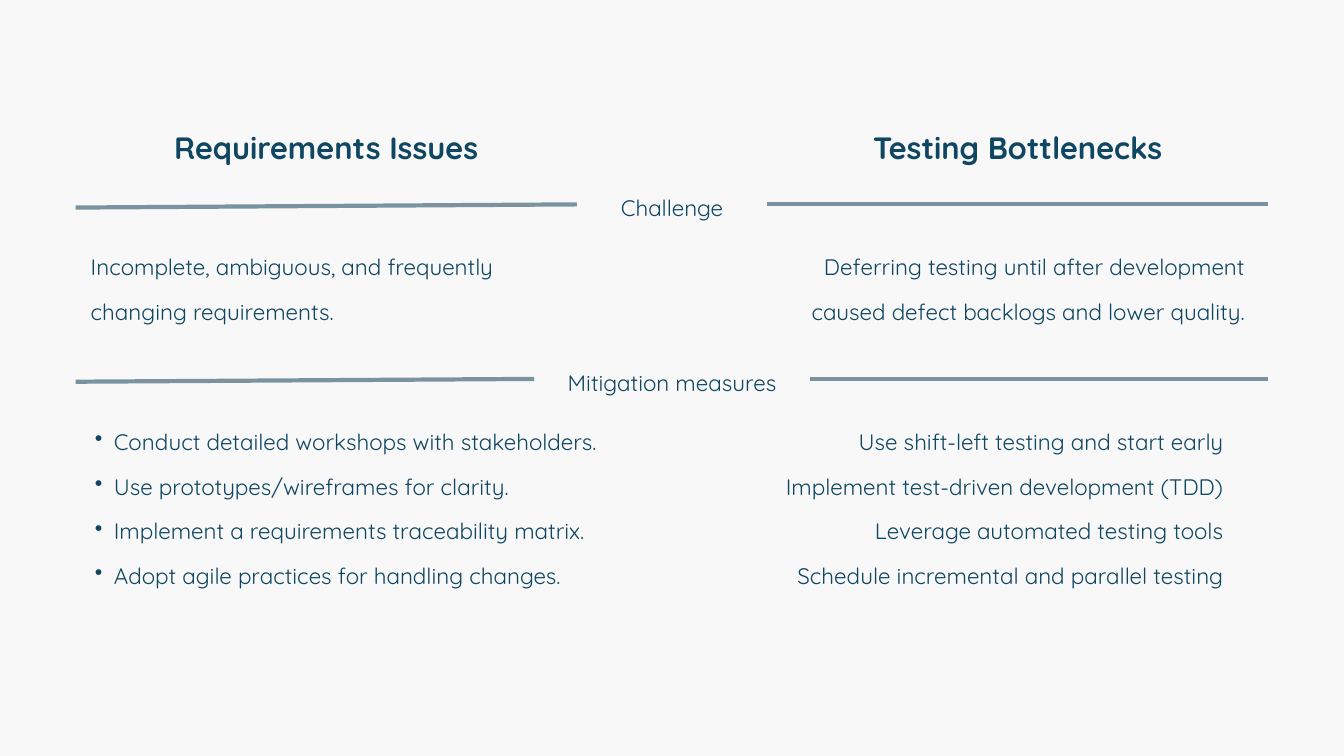
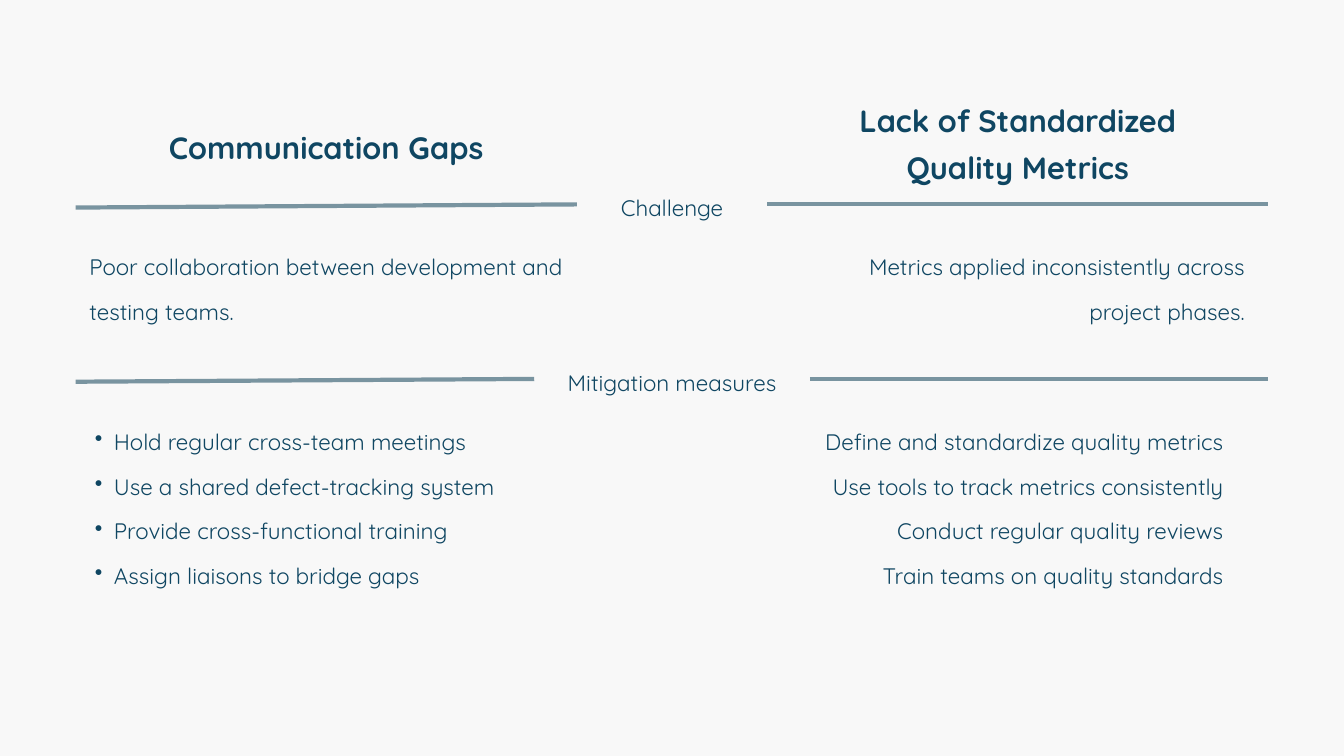
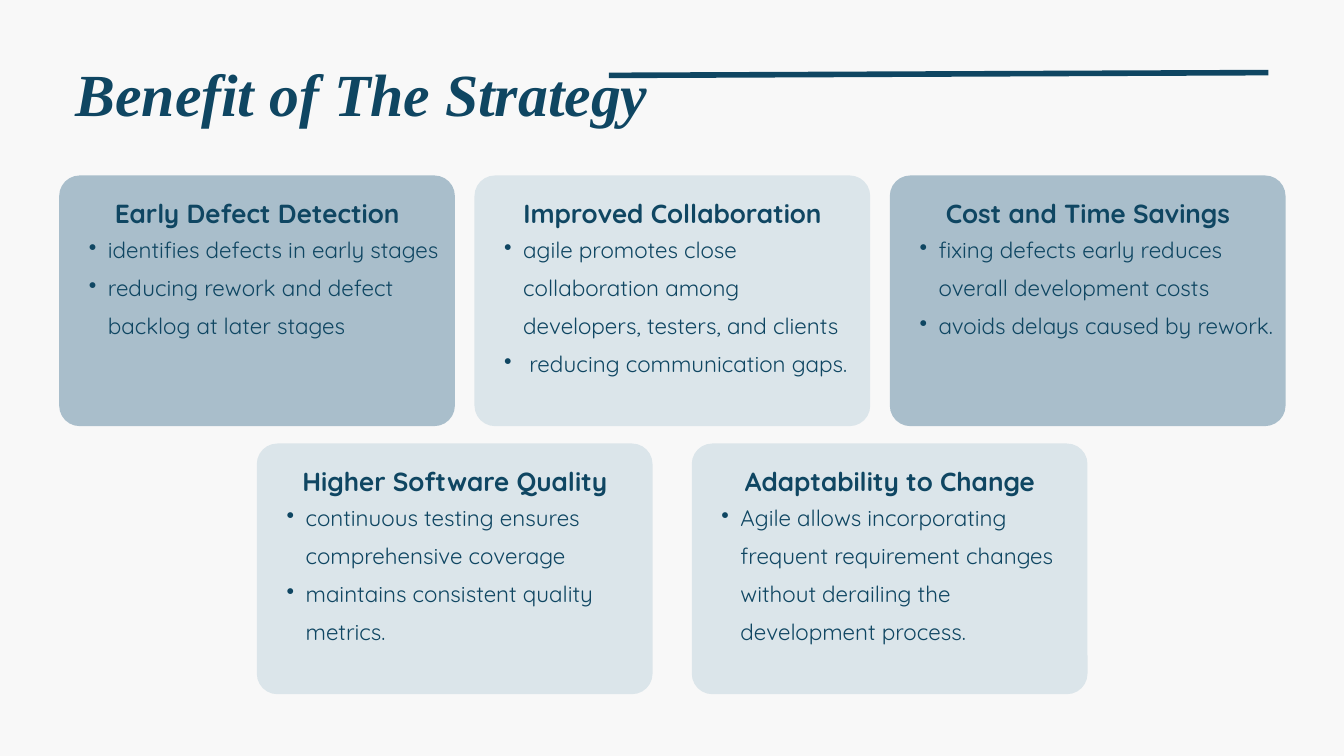
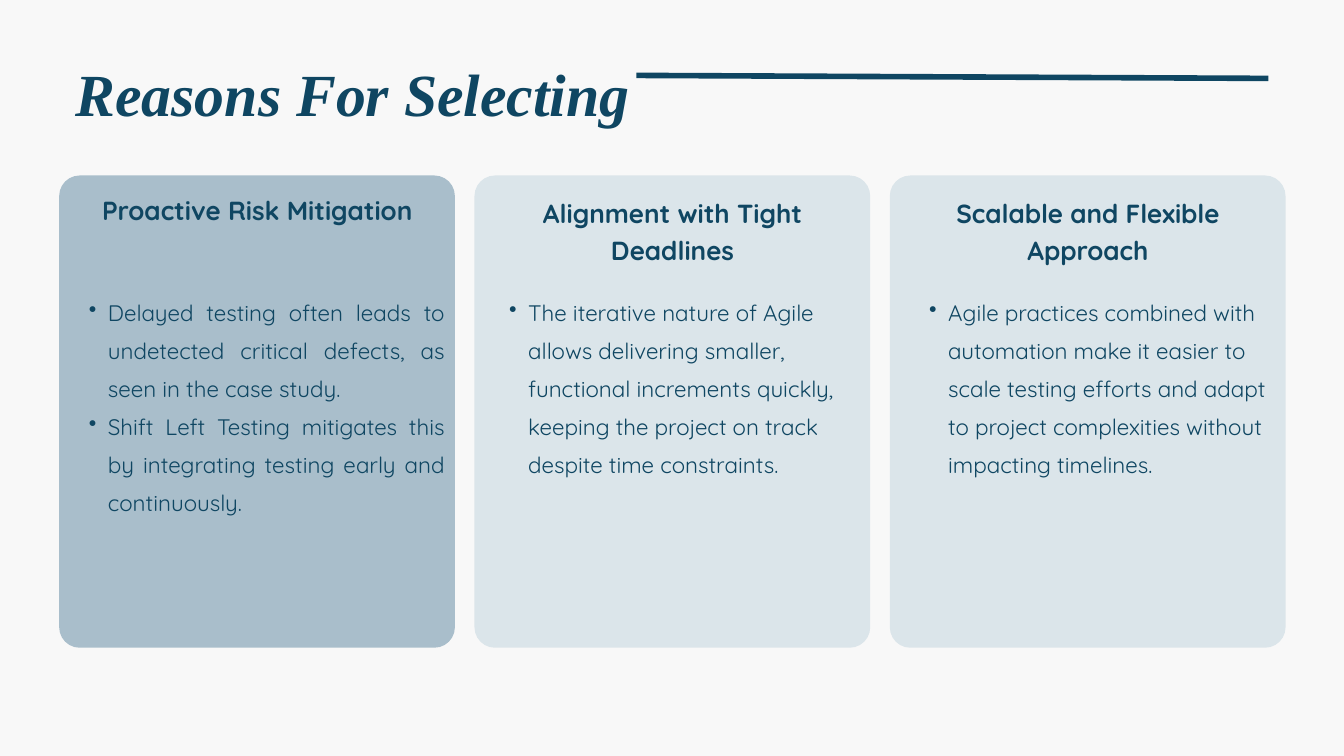
"""Build four slides on project challenges, strategy benefits and reasons for selection."""
from lxml.etree import SubElement
from pptx import Presentation
from pptx.dml.color import RGBColor
from pptx.enum.shapes import MSO_CONNECTOR, MSO_SHAPE
from pptx.enum.text import MSO_AUTO_SIZE, PP_ALIGN
from pptx.oxml.ns import qn
from pptx.util import Pt

COLORS = {"bg": "F8F8F8", "navy": "0F4662", "rule": "7994A0",
          "dark": "A9BECB", "light": "DBE5EA"}
STYLES = {
    "title": {"name": "Times New Roman", "size": Pt(64), "bold": True, "italic": True},
    "heading": {"name": "Quicksand", "size": Pt(33), "bold": True},
    "card": {"name": "Quicksand", "size": Pt(28), "bold": True},
    "body": {"name": "Quicksand", "size": Pt(24)},
}
LEFT, RIGHT = 81, 1359
CARD_W, CARD_STEP, CARD_LEFT, CARD_TOP, RADIUS = 424, 445, 63.4, 188, 22
INSET, CARD_TEXT_W = 11.2, 401.8


def add_text(slide, box, paragraphs, style, spacing, align=PP_ALIGN.LEFT, bullet=False):
    sp = slide.shapes.add_textbox(*[Pt(v) for v in box])
    tf = sp.text_frame
    frame = {"word_wrap": True, "auto_size": MSO_AUTO_SIZE.SHAPE_TO_FIT_TEXT,
             "margin_left": 0, "margin_right": 0, "margin_top": 0, "margin_bottom": 0}
    for key, value in frame.items():
        setattr(tf, key, value)
    for i, text in enumerate(paragraphs):
        p = tf.add_paragraph() if i else tf.paragraphs[0]
        p.alignment, p.line_spacing = align, Pt(spacing)
        if bullet:
            p.level = 1
            pPr = p._p.get_or_add_pPr()
            pPr.set("marL", str(Pt(41)))
            pPr.set("indent", str(Pt(-20.4)))
            SubElement(pPr, qn("a:buChar")).set("char", "•")
        r = p.add_run()
        r.text = text
        for key, value in STYLES[style].items():
            setattr(r.font, key, value)
        r.font.color.rgb = RGBColor.from_string(COLORS["navy"])


def add_line(slide, points, color, width):
    line = slide.shapes.add_connector(MSO_CONNECTOR.STRAIGHT, *[Pt(v) for v in points])
    line.line.color.rgb = RGBColor.from_string(COLORS[color])
    line.line.width = Pt(width)
    SubElement(line._element.spPr, qn("a:effectLst"))


prs = Presentation()
prs.slide_width, prs.slide_height = Pt(1440), Pt(810)
slides = []
for _ in range(4):
    slide = prs.slides.add_slide(prs.slide_layouts[6])
    slide.background.fill.solid()
    slide.background.fill.fore_color.rgb = RGBColor.from_string(COLORS["bg"])
    slides.append(slide)

comparisons = [
    {"left": ["Requirements Issues"], "left_x": 97.2,
     "left_issue": "Incomplete, ambiguous, and frequently changing requirements.",
     "left_steps": ["Conduct detailed workshops with stakeholders.",
                    "Use prototypes/wireframes for clarity.",
                    "Implement a requirements traceability matrix.",
                    "Adopt agile practices for handling changes."],
     "right": ["Testing Bottlenecks"], "right_x": 822, "right_top": 111.6, "right_spacing": 66,
     "right_issue": "Deferring testing until after development caused defect backlogs "
                    "and lower quality.",
     "right_steps": ["Use shift-left testing and start early",
                     "Implement test-driven development (TDD)",
                     "Leverage automated testing tools",
                     "Schedule incremental and parallel testing"]},
    {"left": ["Communication Gaps"], "left_x": 95.8,
     "left_issue": "Poor collaboration between development and testing teams.",
     "left_steps": ["Hold regular cross-team meetings",
                    "Use a shared defect-tracking system",
                    "Provide cross-functional training",
                    "Assign liaisons to bridge gaps"],
     "right": ["Lack of Standardized", "Quality Metrics"],
     "right_x": 854.6, "right_top": 99.4, "right_spacing": 49.5,
     "right_issue": "Metrics applied inconsistently across project phases.",
     "right_steps": ["Define and standardize quality metrics",
                     "Use tools to track metrics consistently",
                     "Conduct regular quality reviews",
                     "Train teams on quality standards"]},
]
bands = [("Mitigation measures", 572.4, 867.6, 376.6, 409, 406),
         ("Challenge", 618, 822, 188.6, 222.4, 219)]
for slide, c in zip(slides, comparisons):
    add_text(slide, (c["left_x"], 252, 618 - c["left_x"], 93), [c["left_issue"]], "body", 48)
    add_text(slide, (LEFT, 111.6, 537, 58.4), c["left"], "heading", 66, PP_ALIGN.CENTER)
    add_text(slide, (LEFT, 439.2, 600, 188.6), c["left_steps"], "body", 48, bullet=True)
    add_text(slide, (c["right_x"], 252, 1333.4 - c["right_x"], 93), [c["right_issue"]],
             "body", 48, PP_ALIGN.RIGHT)
    add_text(slide, (822, c["right_top"], 537, 58.4 if len(c["right"]) == 1 else 95),
             c["right"], "heading", c["right_spacing"], PP_ALIGN.CENTER)
    add_text(slide, (776.2, 439.2, 534.2, 188.6), c["right_steps"], "body", 48, PP_ALIGN.RIGHT)
    for label, x1, x2, top, y1, y2 in bands:
        add_line(slide, (LEFT, y1, x1, y2), "rule", 4.5)
        add_line(slide, (x2, y2, RIGHT, y2), "rule", 4.5)
        add_text(slide, (x1, top, x2 - x1, 44.6), [label], "body", 48, PP_ALIGN.CENTER)

columns = [CARD_LEFT + i * CARD_STEP for i in range(3)]
row2 = 475.2
boards = [
    ("Benefit of The Strategy", (652.4, 80.8, RIGHT, 77.8), 268.6, 53.2, [
        (columns[1], CARD_TOP, "light", "Improved Collaboration",
         ["agile promotes close collaboration among developers, testers, and clients",
          " reducing communication gaps."], {}),
        (columns[0], CARD_TOP, "dark", "Early Defect Detection",
         ["identifies defects in early stages",
          "reducing rework and defect backlog at later stages"], {"body_h": 119.5}),
        (columns[2], CARD_TOP, "dark", "Cost and Time Savings",
         ["fixing defects early reduces overall development costs",
          "avoids delays caused by rework."], {}),
        (275.2, row2, "light", "Higher Software Quality",
         ["continuous testing ensures comprehensive coverage",
          "maintains consistent quality metrics."], {}),
        (741.2, row2, "light", "Adaptability to Change",
         ["Agile allows incorporating frequent requirement changes without derailing "
          "the development process."], {}),
    ]),
    ("Reasons For Selecting", (681.8, 80.8, RIGHT, 84), 506, 120.2, [
        (columns[1], CARD_TOP, "light", "Alignment with Tight Deadlines",
         ["The iterative nature of Agile allows delivering smaller, functional increments "
          "quickly, keeping the project on track despite time constraints."],
         {"title_h": 116.6, "body_h": 240.5, "body_dx": 16.5}),
        (columns[2], CARD_TOP, "light", "Scalable and Flexible Approach",
         ["Agile practices combined with automation make it easier to scale testing efforts "
          "and adapt to project complexities without impacting timelines."],
         {"title_h": 116.6, "body_h": 200, "body_dx": 21.5}),
        (columns[0], CARD_TOP, "dark", "Proactive Risk Mitigation",
         ["Delayed testing often leads to undetected critical defects, as seen in the "
          "case study. ",
          "Shift Left Testing mitigates this by integrating testing early and continuously."],
         {"title_dy": 15, "body_h": 281.5, "align": PP_ALIGN.JUSTIFY}),
    ]),
]
for slide, (title, rule, card_h, body_dy, cards) in zip(slides[2:], boards):
    add_text(slide, (LEFT, 47.5, 749.5, 85.7), [title], "title", 89.6)
    add_line(slide, rule, "navy", 6)
    for x, y, fill, heading, points, tweak in cards:
        sp = slide.shapes.add_shape(MSO_SHAPE.ROUNDED_RECTANGLE,
                                    Pt(x), Pt(y), Pt(CARD_W), Pt(card_h))
        sp.adjustments[0] = RADIUS / min(CARD_W, card_h)
        sp.shadow.inherit = False
        sp.fill.solid()
        sp.fill.fore_color.rgb = RGBColor.from_string(COLORS[fill])
        sp.line.fill.background()
        add_text(slide, (x + INSET, y + tweak.get("title_dy", 18), CARD_TEXT_W,
                         tweak.get("title_h", 39)),
                 [heading], "card", 39.2, PP_ALIGN.CENTER)
        add_text(slide, (x + tweak.get("body_dx", INSET), y + body_dy, CARD_TEXT_W,
                         tweak.get("body_h", 160)),
                 points, "body", 40.8, tweak.get("align", PP_ALIGN.LEFT), bullet=True)

prs.save("out.pptx")
